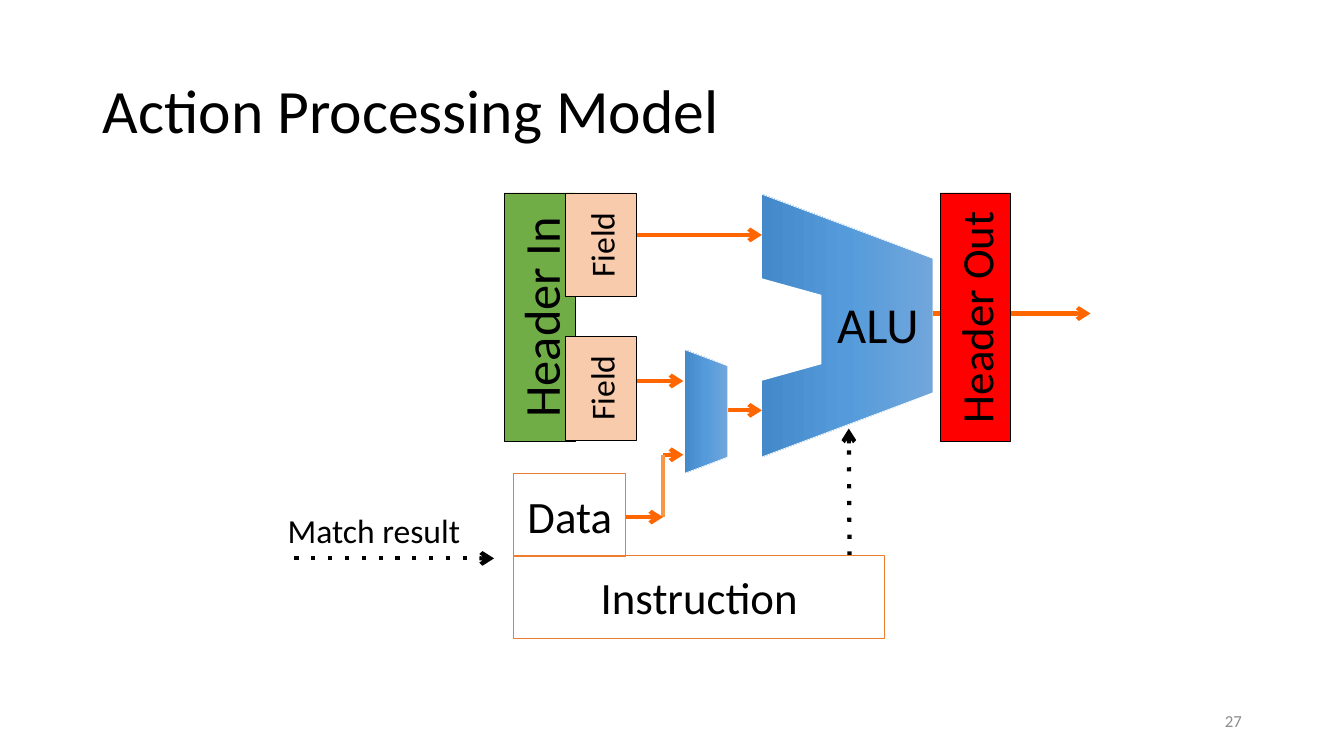
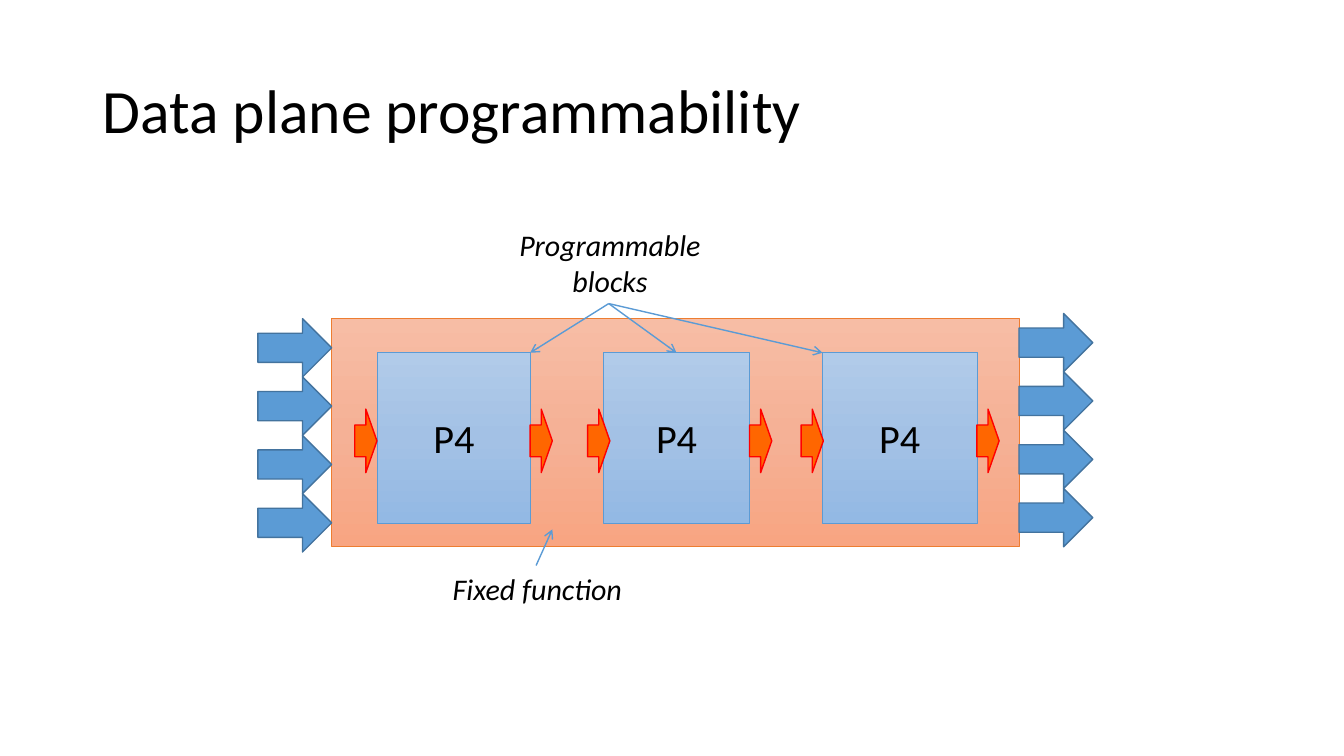
from copy import deepcopy
from dataclasses import dataclass

from lxml import etree
from pptx import Presentation
from pptx import util as u
from pptx.dml import color as c
from pptx.enum import shapes, text
from pptx.oxml import ns

FONT = "Calibri"
BLACK, WHITE, GREY = "000000", "FFFFFF", "8C8C8C"
GREEN, RED, PEACH = "70AD47", "FF0000", "F8CBAD"
ORANGE, BRIGHT_ORANGE, SOFT_ORANGE = "ED7D31", "FF6600", "F79646"
BLUE, DARK_BLUE = "5B9BD5", "43739E"
UNIT_BLUES = ("71A6DB", "559BDB", "448ACA")
BLOCK_BLUES = ("B1CBE9", "A3C1E5", "93B9E4")
CHIP_ORANGES = ("F7BDA5", "F5B196", "F8A582")

RECTANGLE = shapes.MSO_SHAPE.RECTANGLE
TRAPEZOID = shapes.MSO_SHAPE.TRAPEZOID
RIGHT_ARROW = shapes.MSO_SHAPE.RIGHT_ARROW
LEFT, CENTER, RIGHT = text.PP_ALIGN.LEFT, text.PP_ALIGN.CENTER, text.PP_ALIGN.RIGHT


@dataclass
class Box:
    left: float
    top: float
    width: float
    height: float

    def inner(self, x, y, width, height):
        return Box(self.left + x, self.top + y, width, height)

    def point(self, x, y):
        return self.left + x, self.top + y

    def lengths(self):
        return [u.Cm(value) for value in (self.left, self.top, self.width, self.height)]

    def quarter_turned(self):
        shift = (self.width - self.height) / 2
        return Box(self.left + shift, self.top - shift, self.height, self.width)


def rgb(value):
    return c.RGBColor.from_string(value)


def paint(shape, fill):
    if fill is None:
        shape.fill.background()
    elif isinstance(fill, str):
        shape.fill.solid()
        shape.fill.fore_color.rgb = rgb(fill)
    else:
        shape.fill.gradient()
        shape.fill.gradient_angle = 270
        stop_list = shape._element.spPr.find(ns.qn("a:gradFill")).find(ns.qn("a:gsLst"))
        stop_list.append(deepcopy(stop_list[0]))
        for index, (stop, value) in enumerate(zip(shape.fill.gradient_stops, fill)):
            stop.position = index / 2
            stop.color.rgb = rgb(value)


def write(shape, words, size, align=CENTER, color=BLACK, italic=False):
    frame = shape.text_frame
    frame.vertical_anchor = text.MSO_ANCHOR.MIDDLE
    paragraph = frame.paragraphs[0]
    paragraph.alignment = align
    for index, line in enumerate(words.split("\n")):
        if index:
            paragraph.add_line_break()
        run = paragraph.add_run()
        run.text = line
        run.font.name = FONT
        run.font.size = u.Pt(size)
        run.font.italic = italic
        run.font.color.rgb = rgb(color)
    return paragraph


def add_shape(slide, kind, box, fill=None, line=None, weight=0.5, turn=0, adjust=None):
    frame = box.quarter_turned() if turn else box
    shape = slide.shapes.add_shape(kind, *frame.lengths())
    shape.rotation = turn
    shape.shadow.inherit = False
    paint(shape, fill)
    if line:
        shape.line.color.rgb = rgb(line)
        shape.line.width = u.Pt(weight)
    else:
        shape.line.fill.background()
    if adjust is not None:
        shape.adjustments[0] = adjust
    return shape


def add_text(slide, box, words, size, align=LEFT, color=BLACK, italic=False, wrap=False):
    shape = slide.shapes.add_textbox(*box.lengths())
    shape.text_frame.word_wrap = wrap
    return write(shape, words, size, align, color, italic)


def add_line(slide, start, end, color, weight, dotted=False, arrow=True):
    connector = slide.shapes.add_connector(
        shapes.MSO_CONNECTOR.STRAIGHT, *[u.Cm(value) for value in (*start, *end)])
    connector.line.color.rgb = rgb(color)
    connector.line.width = u.Pt(weight)
    outline = connector.line._get_or_add_ln()
    if dotted:
        etree.SubElement(outline, ns.qn("a:prstDash"), val="dot")
    if arrow:
        etree.SubElement(outline, ns.qn("a:tailEnd"), type="arrow")
    etree.SubElement(connector._element.spPr, ns.qn("a:effectLst"))


def add_slide(presentation, title):
    slide = presentation.slides.add_slide(presentation.slide_layouts[6])
    paragraph = add_text(slide, Box(2.34, 1.02, 29.21, 3.68), title, 44, wrap=True)
    paragraph.line_spacing = 0.9
    return slide


def add_page_number(slide, number):
    add_text(slide, Box(23.93, 17.65, 7.62, 1.02), number, 12, RIGHT, GREY, wrap=True)


def draw_action_model(slide, box):
    def wire(start, end, color=BRIGHT_ORANGE, **style):
        add_line(slide, box.point(*start), box.point(*end), color, 3, **style)

    def unit(*place):
        add_shape(slide, TRAPEZOID, box.inner(*place), UNIT_BLUES, WHITE, turn=90, adjust=0.375)

    wire((7.5, 4.74), (10.22, 4.74))
    unit(12.19, 0.03, 4.32, 6.63)
    add_shape(slide, TRAPEZOID, box.inner(12.18, 2.15, 1.52, 2.59), WHITE, turn=90, adjust=0.277)
    wire((7.5, 1.06), (12.2, 1.06))
    wire((11.34, 5.48), (12.2, 5.48))
    wire((16.5, 3.04), (20.48, 3.04))
    add_text(slide, box.inner(13.85, 2.4, 2.62, 1.8), "ALU", 36)
    wire((14.41, 9.14), (14.39, 5.94), BLACK, dotted=True)
    wire((0.42, 9.21), (5.45, 9.21), BLACK, dotted=True)
    add_text(slide, box.inner(0, 7.87, 4.93, 1.27), "Match result", 24)

    for words, size, fill, x, y, height in (
        ("Header In", 36, GREEN, 5.71, 0, 6.27),
        ("Field", 24, PEACH, 7.26, 0, 2.62),
        ("Header Out", 32, RED, 16.69, 0, 6.27),
        ("Field", 24, PEACH, 7.26, 3.61, 2.62),
    ):
        place = box.inner(x, y, 1.78, height)
        write(add_shape(slide, RECTANGLE, place, fill, BLACK, turn=270), words, size)

    unit(10.25, 3.95, 1.09, 3.12)
    wire((9.71, 6.6), (10.22, 6.6))
    wire((9.71, 6.6), (9.71, 8.17), SOFT_ORANGE, arrow=False)
    wire((8.77, 8.17), (9.71, 8.17))
    for words, y, width in (("Instruction", 9.14, 9.35), ("Data", 7.08, 2.82)):
        place = box.inner(5.95, y, width, 2.08)
        write(add_shape(slide, RECTANGLE, place, line=ORANGE), words, 32)


def draw_ports(slide, box):
    pitch = box.height / 4
    for index in range(4):
        port = box.inner(0, index * pitch, box.width, pitch)
        add_shape(slide, RIGHT_ARROW, port, BLUE, DARK_BLUE, 1)


def draw_chip(slide, box):
    def pointer(start, end):
        add_line(slide, box.point(*start), box.point(*end), BLUE, 1)

    def label(words, *place):
        add_text(slide, box.inner(*place), words, 21.4, CENTER, italic=True)

    add_shape(slide, RECTANGLE, box, CHIP_ORANGES, ORANGE)
    draw_ports(slide, box.inner(-1.86, 0, 1.86, 5.88))
    draw_ports(slide, box.inner(box.width, -0.13, 1.86, 5.88))

    block_top = 0.86
    blocks = ((1.16, 3.84, 0.58), (6.85, 3.68, 6.45), (12.37, 3.89, 11.83))
    for x, width, inlet in blocks:
        place = box.inner(x, block_top, width, 4.29)
        write(add_shape(slide, RECTANGLE, place, BLOCK_BLUES, BLUE), "P4", 28.7)
        for arrow_left in (inlet, x + width):
            add_shape(slide, RIGHT_ARROW, box.inner(arrow_left, 2.28, 0.56, 1.6),
                      BRIGHT_ORANGE, RED, 1)

    label("Programmable\nblocks", 4.47, -2.44, 5.08, 2.06)
    first, middle, last = blocks
    for target in (first[0] + first[1], middle[0] + middle[1] / 2, last[0]):
        pointer((6.98, -0.38), (target, block_top))
    label("Fixed function", 2.79, 6.22, 4.78, 1.14)
    pointer((5.15, 6.22), (5.56, 5.31))


def main():
    presentation = Presentation()
    presentation.slide_width = u.Cm(33.87)
    presentation.slide_height = u.Cm(19.05)

    slide = add_slide(presentation, "Action Processing Model")
    draw_action_model(slide, Box(7, 4.86, 20.48, 11.22))
    add_page_number(slide, "27")

    slide = add_slide(presentation, "Data plane programmability")
    draw_chip(slide, Box(8.36, 8.03, 17.32, 5.74))

    presentation.save("out.pptx")


if __name__ == "__main__":
    main()
